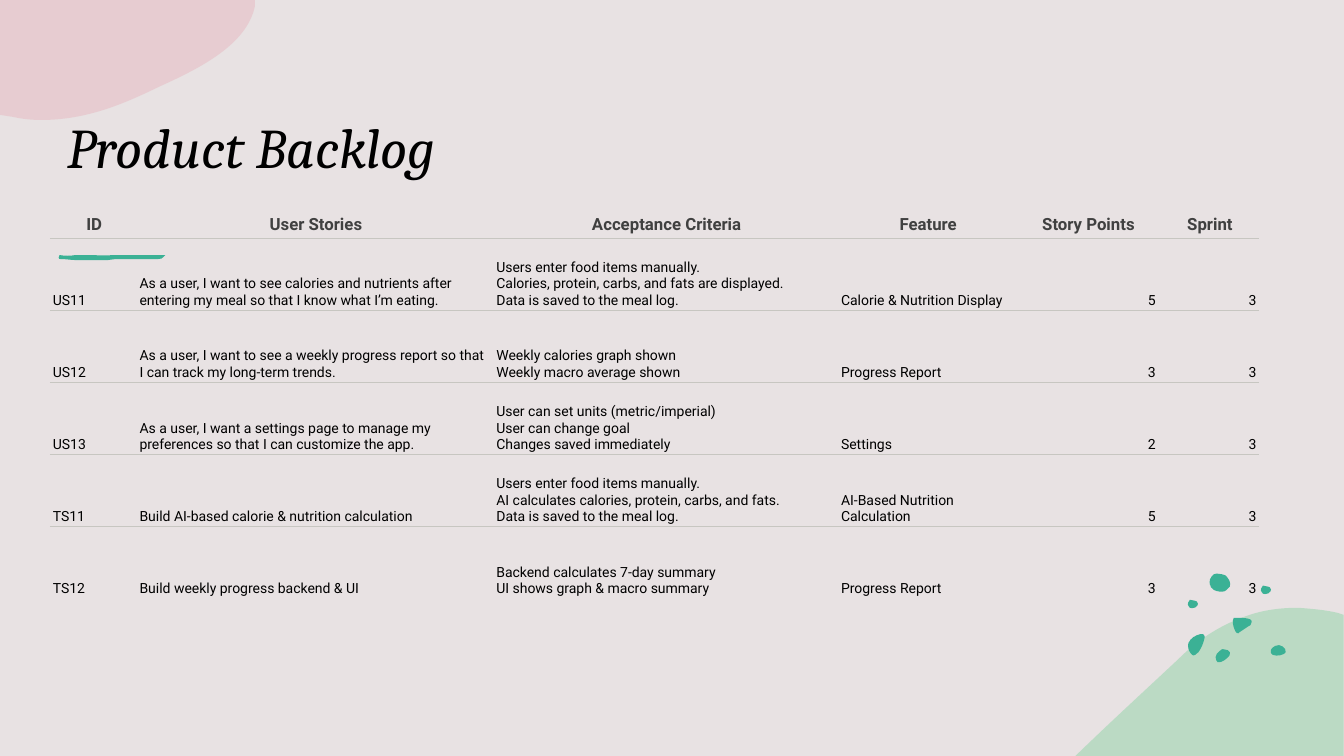
from dataclasses import dataclass
from typing import NamedTuple

from lxml import etree
from pptx import Presentation
from pptx.dml.color import RGBColor
from pptx.enum.text import MSO_ANCHOR, PP_ALIGN
from pptx.oxml.ns import qn
from pptx.slide import Slide
from pptx.table import _Cell
from pptx.text.text import _Paragraph
from pptx.util import Emu, Inches, Pt

BOTTOM, TOP = MSO_ANCHOR.BOTTOM, MSO_ANCHOR.TOP
LEFT, CENTER, RIGHT = PP_ALIGN.LEFT, PP_ALIGN.CENTER, PP_ALIGN.RIGHT

# The slide is a fine grid of 1333 columns by 750 rows
UNIT = Inches(0.01)
COLUMNS, ROWS = 1333.33, 750


class TextStyle(NamedTuple):
    font: str
    size: float
    color: str
    bold: bool = False
    italic: bool = False


@dataclass(frozen=True)
class Theme:
    background: str = "E8E2E3"
    pink: str = "E7B8C0"
    green: str = "90D3A7"
    teal: str = "3BB195"
    rule: str = "C7C6C1"
    rule_width: float = 0.75
    title: TextStyle = TextStyle("Cambria", 40, "000000", italic=True)
    header: TextStyle = TextStyle("Roboto", 12, "404040", bold=True)
    body: TextStyle = TextStyle("Roboto", 10, "000000")


THEME = Theme()


class Outline(NamedTuple):
    """Each step holds one point for a line, or three for a Bezier curve."""
    start: tuple[float, float]
    steps: tuple[tuple[float, ...], ...]
    color: str = THEME.teal
    opacity: int = 100

    def moved(self, right: float, down: float) -> "Outline":
        offset = (right, down) * 3
        steps = tuple(tuple(a + b for a, b in zip(step, offset)) for step in self.steps)
        return self._replace(start=(self.start[0] + right, self.start[1] + down), steps=steps)


class Story(NamedTuple):
    id: str
    story: str
    criteria: str
    feature: str
    points: str
    sprint: str = "3"


class Column(NamedTuple):
    heading: str
    width: int
    alignment: PP_ALIGN = LEFT


# Corner shapes
CORNERS = (
    Outline((1288, 603), ((1301, 604, 1314, 605, 1327, 608), (1333, 610), (1333, 750),
                          (1067, 750), (1068, 749), (1102, 716, 1137, 684, 1169, 654),
                          (1191, 632, 1214, 619, 1237, 611), (1254, 605, 1271, 603, 1288, 603)),
            THEME.green, 50),
    Outline((0, 0), ((253, 0), (253, 6), (245, 44, 200, 67, 158, 86),
                     (123, 103, 86, 119, 41, 119), (31, 119, 22, 118, 13, 116), (0, 114)),
            THEME.pink, 50),
)

# Teal pebbles and the brush stroke
SMALL_PEBBLE = Outline((0, 5), ((0, 5, 0, 1, 2, 0), (4, 0, 5, 0, 7, 1), (8, 1, 10, 2, 10, 4),
                                (10, 5, 9, 7, 8, 7), (8, 7, 8, 8, 6, 8),
                                (5, 8, 3, 9, 2, 8), (1, 6, 0, 6, 0, 5)))
PEBBLES = (
    Outline((1213, 644), ((1215, 644, 1216, 644, 1218, 645), (1220, 646, 1221, 648, 1220, 650),
                          (1218, 653, 1212, 658, 1208, 657), (1207, 656, 1206, 654, 1206, 652),
                          (1206, 650, 1208, 647, 1210, 646), (1211, 645, 1212, 644, 1213, 644))),
    Outline((1191, 629), ((1193, 629, 1195, 629, 1195, 631), (1195, 632, 1195, 632, 1195, 633),
                          (1194, 638, 1192, 643, 1189, 647), (1187, 649, 1184, 652, 1182, 649),
                          (1179, 646, 1178, 641, 1179, 638), (1180, 635, 1182, 634, 1184, 632),
                          (1185, 632, 1188, 629, 1191, 629))),
    Outline((1269, 640), ((1271, 640, 1274, 642, 1275, 644), (1276, 646, 1276, 648, 1273, 649),
                          (1270, 651, 1262, 651, 1261, 648), (1260, 646, 1261, 644, 1262, 643),
                          (1264, 641, 1266, 640, 1269, 640))),
    Outline((1201, 581), ((1200, 581, 1199, 575, 1202, 572), (1204, 570, 1204, 569, 1207, 569),
                          (1210, 569, 1214, 570, 1216, 571), (1218, 573, 1222, 578, 1220, 582),
                          (1217, 585, 1216, 587, 1212, 587), (1209, 587, 1204, 586, 1203, 584),
                          (1201, 583, 1201, 582, 1201, 581))),
    SMALL_PEBBLE.moved(1251, 581),
    SMALL_PEBBLE.moved(1178.5, 595),
    Outline((1228, 613), ((1234, 613, 1245, 613, 1241, 619), (1241, 620, 1240, 621, 1239, 621),
                          (1236, 623, 1233, 625, 1230, 627), (1229, 628, 1228, 629, 1227, 628),
                          (1227, 628, 1226, 627, 1226, 627), (1224, 623, 1223, 620, 1223, 616),
                          (1223, 615, 1223, 614, 1224, 613))),
)
BRUSH_STROKE = Outline((86, 258), ((107, 258), (115, 257), (157, 257),
                                   (163, 257, 161, 254, 164, 253), (111, 253),
                                   (106, 254, 94, 253, 88, 253), (75, 253),
                                   (70, 254, 64, 254, 59, 253), (58, 254, 57, 258, 61, 257),
                                   (65, 257, 71, 258, 75, 258)))

# Backlog table
TABLE_LEFT, TABLE_TOP = 49.5, 209.5
HEADER_HEIGHT, STORY_HEIGHT = 24, 71.6
HEADER_MARGINS, STORY_MARGINS = (7, 3.5, 5, 3.5), (3, 2, 3, 2)
BACKLOG_COLUMNS = (
    Column("ID", 86), Column("User Stories", 354), Column("Acceptance Criteria", 342),
    Column("Feature", 177), Column("Story Points", 141, RIGHT), Column("Sprint", 100, RIGHT),
)
STORIES = (
    Story("US11", "As a user, I want to see calories and nutrients after entering my meal "
          "so that I know what I’m eating.",
          "Users enter food items manually. \vCalories, protein, carbs, and fats are displayed. "
          "\vData is saved to the meal log.", "Calorie & Nutrition Display", "5"),
    Story("US12", "As a user, I want to see a weekly progress report so that I can track "
          "my long-term trends.",
          "Weekly calories graph shown \vWeekly macro average shown", "Progress Report", "3"),
    Story("US13", "As a user, I want a settings page to manage my preferences so that I can "
          "customize the app.",
          "User can set units (metric/imperial) \vUser can change goal "
          "\vChanges saved immediately", "Settings", "2"),
    Story("TS11", "Build AI-based calorie & nutrition calculation",
          "Users enter food items manually. \vAI calculates calories, protein, carbs, and fats. "
          "\vData is saved to the meal log.", "AI-Based Nutrition Calculation", "5"),
    Story("TS12", "Build weekly progress backend & UI",
          "Backend calculates 7-day summary \vUI shows graph & macro summary",
          "Progress Report", "3"),
)


def grid(units: float) -> Emu:
    return Emu(round(units * UNIT))


def style_text(paragraph: _Paragraph, style: TextStyle, alignment: PP_ALIGN = LEFT) -> None:
    paragraph.alignment = alignment
    font = paragraph.font
    font.name, font.size = style.font, Pt(style.size)
    font.bold, font.italic = style.bold, style.italic
    font.color.rgb = RGBColor.from_string(style.color)


def draw_outline(slide: Slide, outline: Outline) -> None:
    builder = slide.shapes.build_freeform(*map(grid, outline.start))
    builder.add_line_segments([tuple(map(grid, step[-2:])) for step in outline.steps])
    shape = builder.convert_to_shape()
    # Bend the segments that have control points
    for segment, step in zip(list(shape.element.iter(qn("a:lnTo"))), outline.steps):
        if len(step) == 6:
            segment.tag = qn("a:cubicBezTo")
            controls = [etree.Element(qn("a:pt"), x=str(grid(x) - shape.left),
                                      y=str(grid(y) - shape.top))
                        for x, y in (step[:2], step[2:4])]
            segment[:0] = controls
    etree.SubElement(next(shape.element.iter(qn("a:path"))), qn("a:close"))
    shape.shadow.inherit = False
    shape.line.fill.background()
    shape.fill.solid()
    shape.fill.fore_color.rgb = RGBColor.from_string(outline.color)
    if outline.opacity < 100:
        color = shape.element.spPr.find(qn("a:solidFill"))[0]
        etree.SubElement(color, qn("a:alpha"), val=str(outline.opacity * 1000))


def draw_title(slide: Slide, text: str) -> None:
    frame = slide.shapes.add_textbox(grid(57), grid(106.5), grid(610), grid(173)).text_frame
    frame.word_wrap = True
    frame.vertical_anchor = TOP
    frame.text = text
    style_text(frame.paragraphs[0], THEME.title)


def set_borders(cell: _Cell, ruled_sides: str) -> None:
    properties = cell._tc.get_or_add_tcPr()
    for side in "LRTB":
        line = etree.SubElement(properties, qn(f"a:ln{side}"), w=str(Pt(THEME.rule_width)))
        if side in ruled_sides:
            fill = etree.SubElement(line, qn("a:solidFill"))
            etree.SubElement(fill, qn("a:srgbClr"), val=THEME.rule)
        else:
            etree.SubElement(line, qn("a:noFill"))


def draw_backlog(slide: Slide) -> None:
    rows = (tuple(column.heading for column in BACKLOG_COLUMNS), *STORIES)
    width = sum(column.width for column in BACKLOG_COLUMNS)
    height = HEADER_HEIGHT + STORY_HEIGHT * len(STORIES)
    table = slide.shapes.add_table(len(rows), len(BACKLOG_COLUMNS), grid(TABLE_LEFT),
                                   grid(TABLE_TOP), grid(width), grid(height)).table
    table.first_row = table.horz_banding = False
    for table_column, column in zip(table.columns, BACKLOG_COLUMNS):
        table_column.width = grid(column.width)
    for row_index, texts in enumerate(rows):
        is_header = row_index == 0
        table.rows[row_index].height = grid(HEADER_HEIGHT if is_header else STORY_HEIGHT)
        ruled_sides = ("" if is_header else "T") + ("B" if row_index < len(STORIES) else "")
        margins = HEADER_MARGINS if is_header else STORY_MARGINS
        for cell, text, column in zip(table.rows[row_index].cells, texts, BACKLOG_COLUMNS):
            cell.text = text
            cell.vertical_anchor = BOTTOM
            (cell.margin_left, cell.margin_top,
             cell.margin_right, cell.margin_bottom) = map(grid, margins)
            set_borders(cell, ruled_sides)
            cell.fill.background()
            style_text(cell.text_frame.paragraphs[0], THEME.header if is_header else THEME.body,
                       CENTER if is_header else column.alignment)


def main() -> None:
    presentation = Presentation()
    presentation.slide_width, presentation.slide_height = grid(COLUMNS), grid(ROWS)
    slide = presentation.slides.add_slide(presentation.slide_layouts[6])
    slide.background.fill.solid()
    slide.background.fill.fore_color.rgb = RGBColor.from_string(THEME.background)
    for outline in (*CORNERS, *PEBBLES, BRUSH_STROKE):
        draw_outline(slide, outline)
    draw_title(slide, "Product Backlog")
    draw_backlog(slide)
    presentation.save("out.pptx")


if __name__ == "__main__":
    main()
